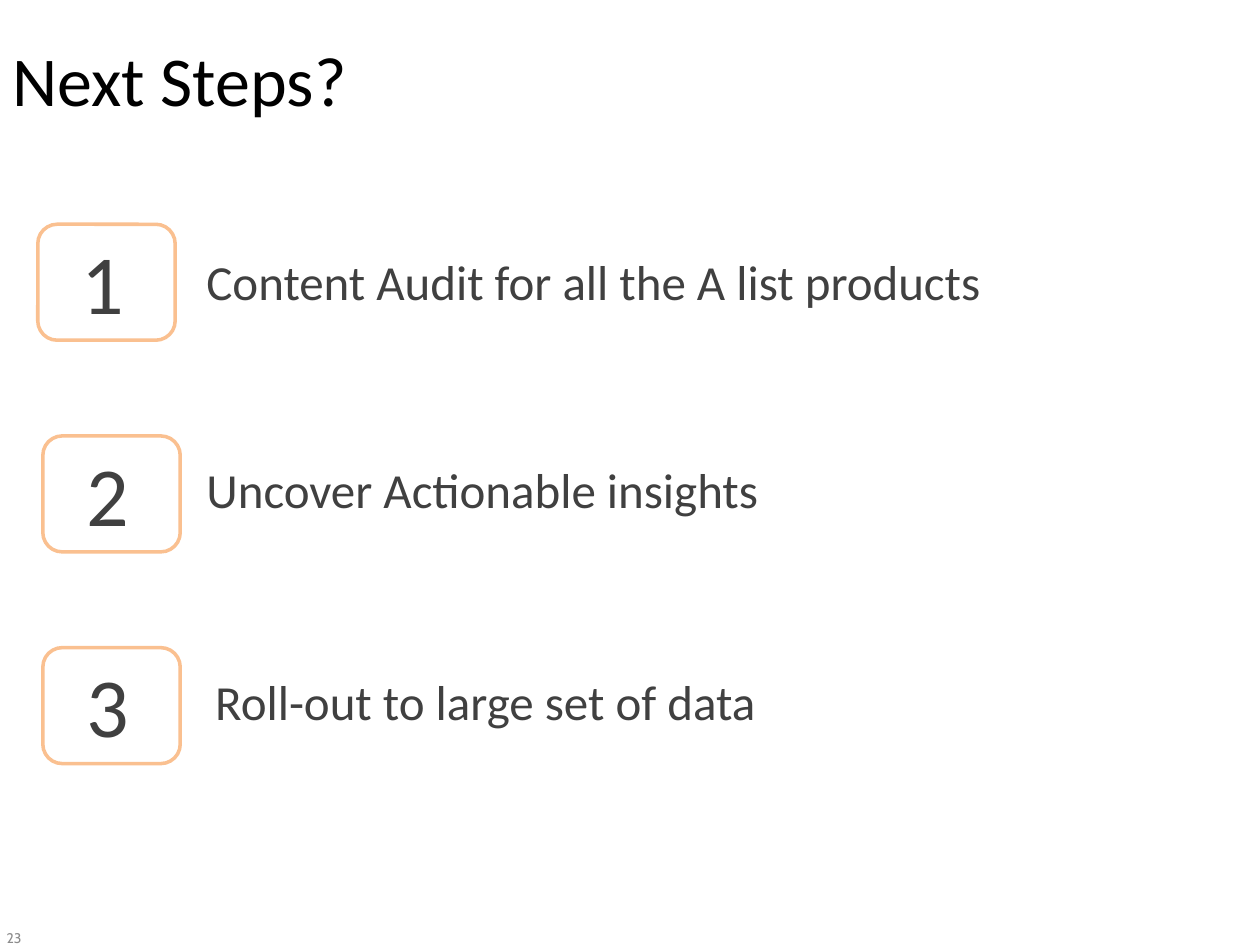
from dataclasses import dataclass

import pptx
import pptx.dml.color
import pptx.enum.shapes
import pptx.enum.text
import pptx.util

PX = 9144  # EMU per px, 100 px to the inch
ANCHOR = pptx.enum.text.MSO_ANCHOR
ALIGN = pptx.enum.text.PP_ALIGN


@dataclass(frozen=True)
class Theme:
    font: str = "Calibri"
    page_font: str = "Cabin"
    title_color: str = "000000"
    text_color: str = "404040"
    page_color: str = "8C8C8C"
    badge_fill: str = "FFFFFF"
    badge_line: str = "FAC090"
    title_size: int = 40
    number_size: int = 48
    label_size: int = 28
    page_size: int = 8


THEME = Theme()

# Badge left, label left, label drop below the badge top, label width, label
STEPS = [
    (30, 154, 17, 840, "Content Audit for all the A list products"),
    (34, 154, 14, 510, "Uncover Actionable insights"),
    (34, 161, 14, 528, "Roll-out to large set of data"),
]
FIRST_STEP_TOP = 178
STEP_PITCH = 168


def rgb(color):
    return pptx.dml.color.RGBColor.from_string(color)


def emu(*lengths):
    return [pptx.util.Emu(length * PX) for length in lengths]


def add_text(slide, text, box, *, size, color=THEME.text_color, font=THEME.font,
             align=ALIGN.LEFT, anchor=ANCHOR.TOP):
    shape = slide.shapes.add_textbox(*emu(*box))
    frame = shape.text_frame
    frame.word_wrap = True
    frame.vertical_anchor = anchor
    paragraph = frame.paragraphs[0]
    paragraph.alignment = align
    run = paragraph.add_run()
    run.text = text
    run.font.size = pptx.util.Pt(size)
    run.font.name = font
    run.font.color.rgb = rgb(color)
    return shape


def add_badge(slide, number, box):
    """Draw a rounded box with the step number in it."""
    left, top, width, height = box
    shape = slide.shapes.add_shape(
        pptx.enum.shapes.MSO_SHAPE.ROUNDED_RECTANGLE, *emu(*box))
    shape.shadow.inherit = False
    shape.fill.solid()
    shape.fill.fore_color.rgb = rgb(THEME.badge_fill)
    shape.line.color.rgb = rgb(THEME.badge_line)
    shape.line.width = pptx.util.Pt(2)
    add_text(slide, str(number), (left + 25, top, 63, height),
             size=THEME.number_size)


def add_steps(slide, top):
    for index, (badge_left, label_left, drop, width, label) in enumerate(STEPS):
        row_top = top + index * STEP_PITCH
        add_text(slide, label, (label_left, row_top + drop, width, 57),
                 size=THEME.label_size)
        add_badge(slide, index + 1, (badge_left, row_top, 109, 92))


def main():
    presentation = pptx.Presentation()
    presentation.slide_width, presentation.slide_height = emu(1000, 750)
    slide = presentation.slides.add_slide(presentation.slide_layouts[6])
    add_text(slide, "23", (-44, 724, 71, 40), size=THEME.page_size,
             color=THEME.page_color, font=THEME.page_font,
             align=ALIGN.RIGHT, anchor=ANCHOR.MIDDLE)
    add_text(slide, "Next Steps?", (0, 0, 1000, 125), size=THEME.title_size,
             color=THEME.title_color, anchor=ANCHOR.MIDDLE)
    add_steps(slide, FIRST_STEP_TOP)
    presentation.save("out.pptx")


if __name__ == "__main__":
    main()
